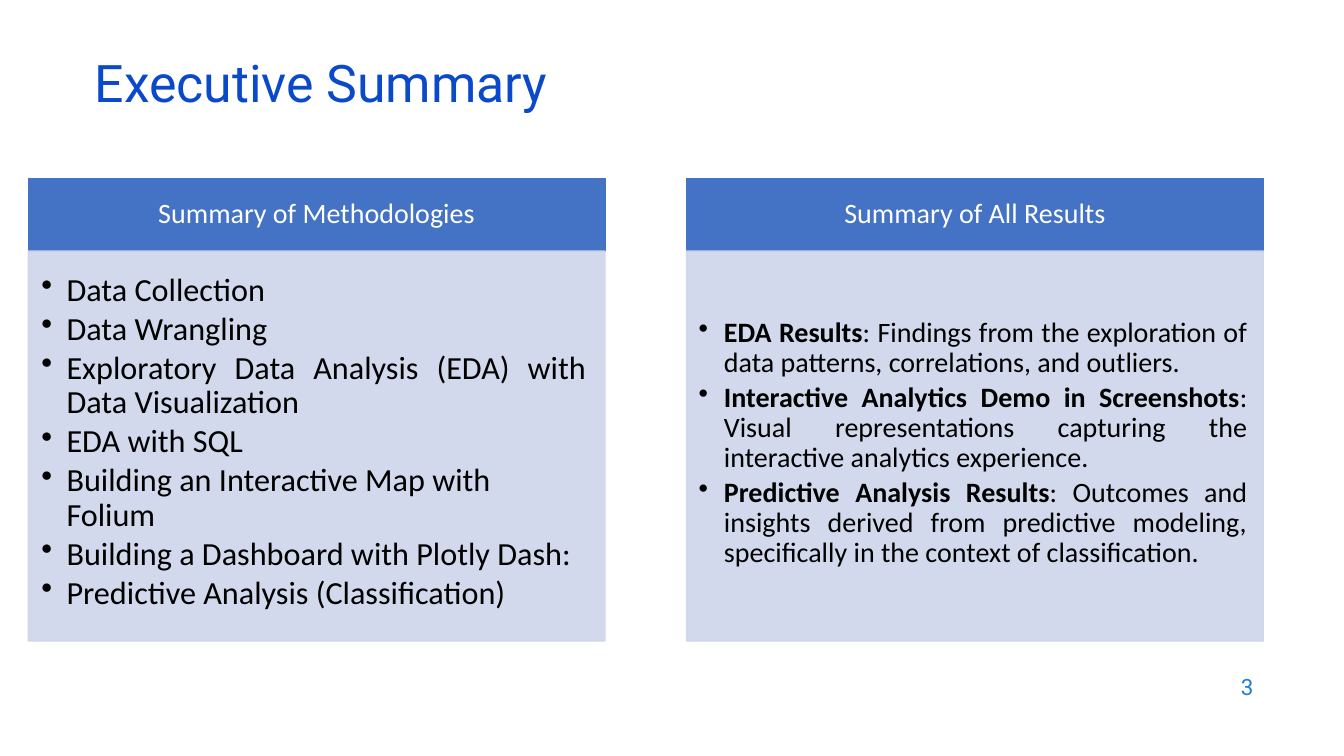
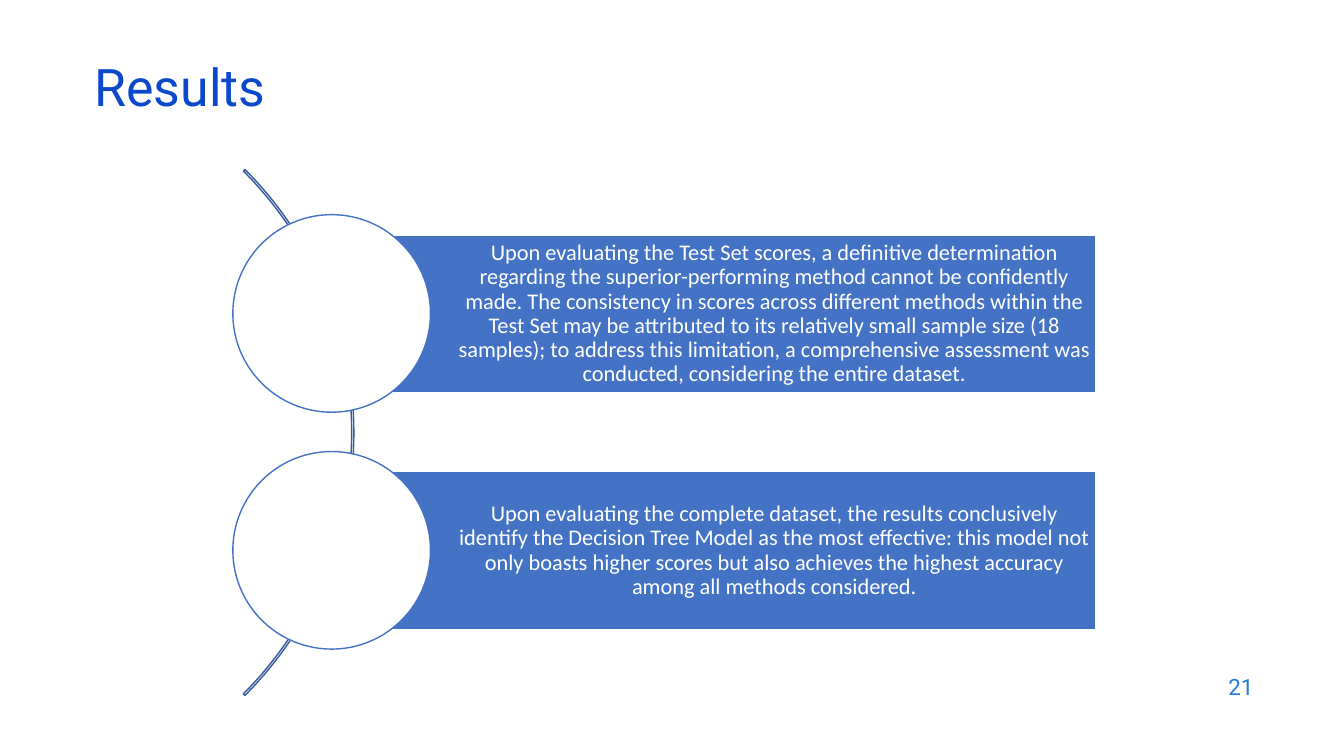
from dataclasses import dataclass

from lxml.etree import SubElement
from pptx import Presentation
from pptx.dml.color import RGBColor
from pptx.enum.shapes import MSO_SHAPE
from pptx.enum.text import MSO_ANCHOR, PP_ALIGN
from pptx.oxml.ns import qn
from pptx.util import Emu, Pt

# Content
METHODS = [
    ("", "Data Collection", PP_ALIGN.LEFT),
    ("", "Data Wrangling", PP_ALIGN.LEFT),
    ("", "Exploratory Data Analysis (EDA) with Data Visualization", PP_ALIGN.JUSTIFY),
    ("", "EDA with SQL", PP_ALIGN.LEFT),
    ("", "Building an Interactive Map with Folium", PP_ALIGN.LEFT),
    ("", "Building a Dashboard with Plotly Dash:", PP_ALIGN.LEFT),
    ("", "Predictive Analysis (Classification)", PP_ALIGN.LEFT),
]
RESULTS = [
    ("EDA Results", ": Findings from the exploration of data patterns, correlations, "
     "and outliers.", PP_ALIGN.JUSTIFY),
    ("Interactive Analytics Demo in Screenshots", ": Visual representations capturing "
     "the interactive analytics experience.", PP_ALIGN.JUSTIFY),
    ("Predictive Analysis Results", ": Outcomes and insights derived from predictive "
     "modeling, specifically in the context of classification.", PP_ALIGN.JUSTIFY),
]
# Heading, bullets, type size, insets (left, top, right, bottom)
CARDS = [
    ("Summary of Methodologies", METHODS, 23, (13, 13, 18, 20)),
    ("Summary of All Results", RESULTS, 20, (12, 12, 16, 17)),
]
FINDINGS = [
    "Upon evaluating the Test Set scores, a definitive determination regarding the "
    "superior-performing method cannot be confidently made. The consistency in scores "
    "across different methods within the Test Set may be attributed to its relatively "
    "small sample size (18 samples); to address this limitation, a comprehensive "
    "assessment was conducted, considering the entire dataset.",
    "Upon evaluating the complete dataset, the results conclusively identify the "
    "Decision Tree Model as the most effective: this model not only boasts higher scores "
    "but also achieves the highest accuracy among all methods considered.",
]


@dataclass(frozen=True)
class Theme:
    title: str = "0B49CB"
    number: str = "1C7DDB"
    accent: str = "4472C4"
    arc: str = "365B9D"
    panel: str = "CFD5EA"
    white: str = "FFFFFF"
    black: str = "000000"
    display_font: str = "Roboto"
    body_font: str = "Calibri"
    title_size: int = 37
    heading_size: int = 20
    small_size: int = 16


THEME = Theme()
PIXEL = 9144  # 100 px to the inch
DEFAULT_INSETS = (10, 5, 10, 5)


def px(*lengths):
    return [Emu(length * PIXEL) for length in lengths]


# Shared helpers
def set_values(target, **values):
    for name, value in values.items():
        setattr(target, name, value)


def set_opacity(shape, percent):
    for color in shape._element.spPr.iter(qn("a:srgbClr")):
        SubElement(color, qn("a:alpha"), val=str(percent * 1000))


def add_figure(slide, kind, box, fill, line):
    shape = slide.shapes.add_shape(kind, *px(*box))
    shape.shadow.inherit = False
    shape.line.width = Pt(1)
    for paint, color in ((shape.fill, fill), (shape.line.fill, line)):
        if color is None:
            paint.background()
        else:
            paint.solid()
            paint.fore_color.rgb = RGBColor.from_string(color)
    return shape


def prepare_frame(shape, insets=DEFAULT_INSETS):
    frame = shape.text_frame
    left, top, right, bottom = px(*insets)
    set_values(frame, word_wrap=True, vertical_anchor=MSO_ANCHOR.MIDDLE,
               margin_left=left, margin_top=top, margin_right=right, margin_bottom=bottom)
    return frame


def add_run(paragraph, text, size, color, font=THEME.body_font, bold=False):
    run = paragraph.add_run()
    run.text = text
    set_values(run.font, name=font, size=Pt(size), bold=bold)
    run.font.color.rgb = RGBColor.from_string(color)


def write_line(shape, text, size, color, align=PP_ALIGN.CENTER, spacing=0.9,
               font=THEME.body_font, insets=DEFAULT_INSETS):
    paragraph = prepare_frame(shape, insets).paragraphs[0]
    set_values(paragraph, alignment=align, line_spacing=spacing)
    add_run(paragraph, text, size, color, font)


def write_bullets(shape, items, size, insets):
    frame = prepare_frame(shape, insets)
    for index, (lead, text, align) in enumerate(items):
        paragraph = frame.add_paragraph() if index else frame.paragraphs[0]
        set_values(paragraph, alignment=align, line_spacing=0.9, space_after=Pt(3))
        properties = paragraph._p.get_or_add_pPr()
        indent = 25 * PIXEL
        properties.set("marL", str(indent))
        properties.set("indent", str(-indent))
        SubElement(properties, qn("a:buChar"), char="•")
        if lead:
            add_run(paragraph, lead, size, THEME.black, bold=True)
        add_run(paragraph, text, size, THEME.black)


def add_page(presentation, title, title_top, number):
    slide = presentation.slides.add_slide(presentation.slide_layouts[6])
    write_line(slide.shapes.add_textbox(*px(84, title_top, 1150, 60)), title,
               THEME.title_size, THEME.title, PP_ALIGN.LEFT, 0.7, THEME.display_font)
    write_line(slide.shapes.add_textbox(*px(953, 659, 300, 44)), number,
               THEME.small_size, THEME.number, PP_ALIGN.RIGHT, 1.0, THEME.display_font)
    return slide


# Slides
def build_summary(presentation):
    slide = add_page(presentation, "Executive Summary", 59, "3")
    left, top, width, pitch = 28, 177, 572, 653
    heading_height, body_height = 72, 387
    for index, (heading, items, size, insets) in enumerate(CARDS):
        x = left + index * pitch
        header = add_figure(slide, MSO_SHAPE.RECTANGLE, (x, top, width, heading_height),
                            THEME.accent, THEME.accent)
        write_line(header, heading, THEME.heading_size, THEME.white,
                   insets=(16, 9, 16, 9))
        panel = add_figure(slide, MSO_SHAPE.RECTANGLE,
                           (x, top + heading_height, width, body_height),
                           THEME.panel, THEME.panel)
        set_opacity(panel, 90)
        write_bullets(panel, items, size, insets)


def build_results(presentation):
    slide = add_page(presentation, "Results", 63, "21")
    arc = add_figure(slide, MSO_SHAPE.BLOCK_ARC, (-387, 60, 738, 738), None, THEME.arc)
    for index, value in enumerate((189, 27, 0.003)):
        arc.adjustments[index] = value

    center_x, first_center_y, pitch = 329, 311, 235
    bar_width, bar_height, radius = 758, 157, 98
    for index, finding in enumerate(FINDINGS):
        center_y = first_center_y + index * pitch
        bar = add_figure(slide, MSO_SHAPE.RECTANGLE,
                         (center_x, center_y - bar_height // 2, bar_width, bar_height),
                         THEME.accent, THEME.white)
        write_line(bar, finding, THEME.small_size, THEME.white, insets=(124, 4, 4, 4))
        add_figure(slide, MSO_SHAPE.OVAL,
                   (center_x - radius, center_y - radius, 2 * radius, 2 * radius),
                   THEME.white, THEME.accent)


def main():
    presentation = Presentation()
    presentation.slide_width, presentation.slide_height = px(1333, 750)
    build_summary(presentation)
    build_results(presentation)
    presentation.save("out.pptx")


if __name__ == "__main__":
    main()
